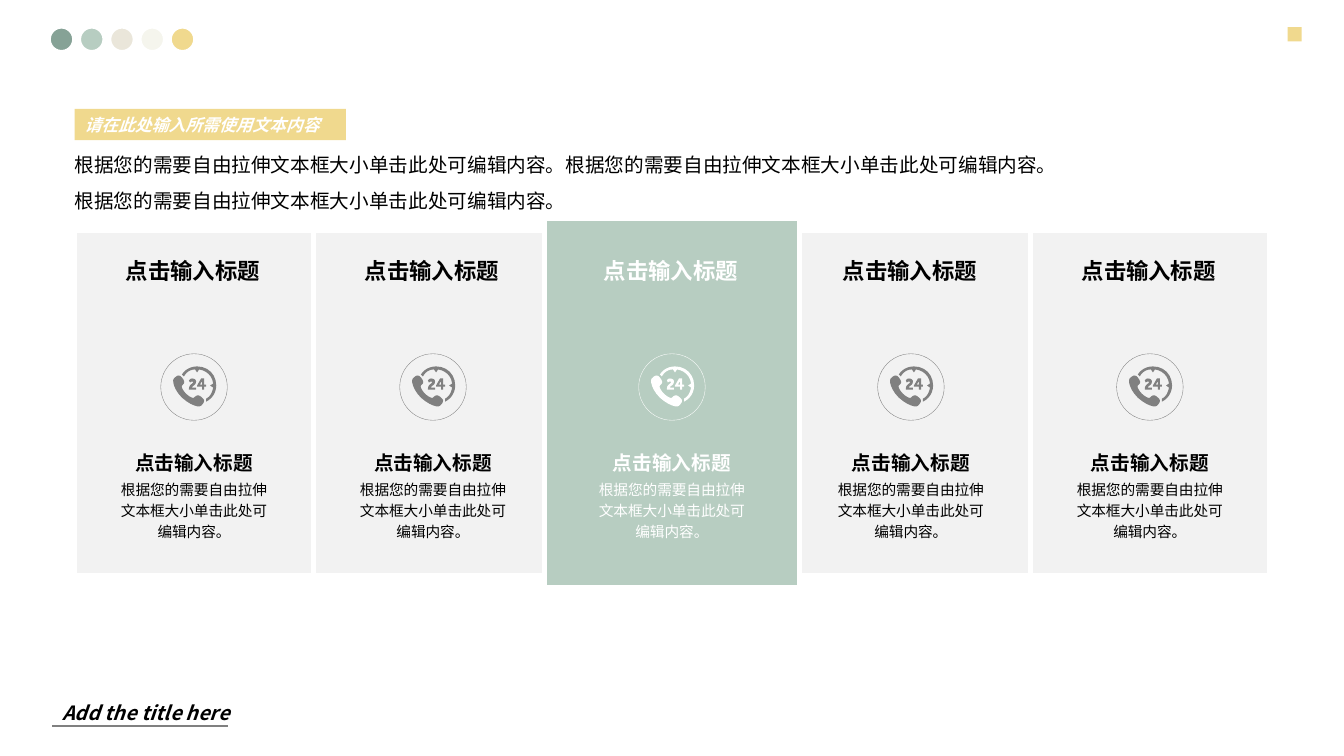
"""Build a slide of five service cards with the middle card highlighted."""
import pptx
import pptx.dml.color
import pptx.enum.shapes
import pptx.enum.text
import pptx.oxml.ns
import pptx.util

SHAPE = pptx.enum.shapes.MSO_SHAPE
ALIGN = pptx.enum.text.PP_ALIGN
FONT = "Noto Sans CJK SC"
COLORS = {
    "green": "86A296", "mint": "B7CDC1", "sand": "EAE6DA", "ivory": "F5F5ED",
    "yellow": "F0D98E", "panel": "F2F2F2", "gray": "808080",
    "white": "FFFFFF", "black": "000000",
}

DOTS = ["green", "mint", "sand", "ivory", "yellow"]
FOOTER = "Add the title here"
TAG = "请在此处输入所需使用文本内容"
SENTENCE = "根据您的需要自由拉伸文本框大小单击此处可编辑内容。"
INTRO = [SENTENCE * 2, SENTENCE]
HEADING = "点击输入标题"
CARDS = [(HEADING, HEADING, SENTENCE)] * 5
HIGHLIGHT = 2

# Contours in hundredths of an inch: pairs are lines, sixes are curves.
ICON_SIZE = (0.44, 0.41)
PHONE_ICON = [
    [(25, 0), (19, 0, 13, 3, 10, 8), (10, 8, 11, 9, 12, 10), (14, 6, 18, 3, 23, 3),
     (25, 6), (27, 3), (34, 4, 40, 9, 41, 17), (38, 19), (41, 21),
     (40, 26, 38, 30, 34, 32), (34, 35), (40, 32, 44, 26, 44, 19), (44, 8, 36, 0, 25, 0)],
    [(30, 31), (26, 27, 24, 29, 22, 31), (21, 32, 17, 30, 14, 27), (11, 24, 9, 20, 10, 19),
     (12, 17, 14, 16, 10, 11), (7, 7, 4, 10, 2, 12), (0, 14, 2, 23, 10, 31),
     (19, 39, 27, 41, 29, 39), (31, 37, 34, 34, 30, 31)],
    [(17, 22), (17, 18, 21, 17, 21, 16), (21, 15, 21, 15, 20, 15), (19, 15, 18, 16, 18, 16),
     (17, 14), (17, 14, 18, 12, 20, 12), (22, 12, 24, 13, 24, 15), (24, 19, 20, 19, 20, 21),
     (24, 21), (24, 23), (17, 23)],
    [(25, 19), (29, 12), (32, 12), (32, 18), (34, 18), (34, 20), (32, 20), (32, 23),
     (30, 23), (30, 20), (25, 20)],
    [(30, 18), (30, 15), (29, 16), (28, 18)],
]

LEFT, PITCH = 0.74, 2.37
CARD_TOP, CARD_H = 2.29, 3.42
GROW_X, GROW_Y = 0.08, 0.12
RING, RING_TOP = 0.66, 3.51


def rgb(name):
    return pptx.dml.color.RGBColor.from_string(COLORS[name])


def box(*lengths):
    return [pptx.util.Inches(v) for v in lengths]


def paint(sp, fill=None, line=None, width=0):
    sp.shadow.inherit = False
    if fill:
        sp.fill.solid()
        sp.fill.fore_color.rgb = rgb(fill)
    else:
        sp.fill.background()
    if line:
        sp.line.color.rgb = rgb(line)
        sp.line.width = pptx.util.Pt(width)
    else:
        sp.line.fill.background()
    return sp


def add_shape(s, kind, place, **style):
    return paint(s.shapes.add_shape(kind, *box(*place)), **style)


def write(sp, lines, color, align=ALIGN.LEFT, wrap=True, inset=True, italic=False):
    """Fill a shape with lines of (text, size, leading, bold, space before)."""
    tf = sp.text_frame
    tf.word_wrap = wrap
    tf.vertical_anchor = pptx.enum.text.MSO_ANCHOR.TOP
    if not inset:
        tf.margin_left = tf.margin_right = tf.margin_top = tf.margin_bottom = 0
    for i, (text, size, leading, bold, before) in enumerate(lines):
        p = tf.add_paragraph() if i else tf.paragraphs[0]
        p.text = text
        p.alignment = align
        p.line_spacing = pptx.util.Pt(leading)
        p.space_before = pptx.util.Pt(before)
        font = p.runs[0].font
        font.name, font.size = FONT, pptx.util.Pt(size)
        font.bold, font.italic = bold, italic
        font.color.rgb = rgb(color)
        ea = font._element.makeelement(pptx.oxml.ns.qn("a:ea"), {"typeface": FONT})
        font._element.find(pptx.oxml.ns.qn("a:latin")).addnext(ea)


def add_text(s, place, lines, color, **style):
    write(s.shapes.add_textbox(*box(*place)), lines, color, **style)


def flatten(contour, steps=6):
    points = [contour[0]]
    for seg in contour[1:]:
        if len(seg) == 2:
            points.append(seg)
            continue
        start, ctrl1, ctrl2, end = points[-1], seg[:2], seg[2:4], seg[4:]
        for k in range(1, steps + 1):
            t = k / steps
            u = 1 - t
            points.append(tuple(
                u**3 * a + 3 * u * u * t * b + 3 * u * t * t * c + t**3 * d
                for a, b, c, d in zip(start, ctrl1, ctrl2, end)))
    return [box(x / 100, y / 100) for x, y in points]


def add_icon(s, x, y, color):
    contours = [flatten(c) for c in PHONE_ICON]
    fb = s.shapes.build_freeform(*contours[0][0])
    for i, points in enumerate(contours):
        if i:
            fb.move_to(*points[0])
        fb.add_line_segments(points[1:], close=True)
    paint(fb.convert_to_shape(*box(x, y)), fill=color)


def add_frame(s):
    for i, color in enumerate(DOTS):
        add_shape(s, SHAPE.OVAL, (0.49 + 0.3 * i, 0.27, 0.24, 0.24),
                  fill=color, line="white", width=2)
    add_shape(s, SHAPE.RECTANGLE, (12.77, 0.27, 0.14, 0.14), fill="yellow")
    rule = s.shapes.add_connector(
        pptx.enum.shapes.MSO_CONNECTOR.STRAIGHT, *box(0.52, 7.2, 2.26, 7.2))
    rule.line.color.rgb = rgb("gray")
    rule.line.width = pptx.util.Pt(1.5)
    sppr = rule._element.spPr
    sppr.append(sppr.makeelement(pptx.oxml.ns.qn("a:effectLst"), {}))
    add_text(s, (0.52, 6.89, 2.39, 0.34), [(FOOTER, 14, 18, True, 0)], "black", italic=True)


def add_card(s, i):
    title, subtitle, body = CARDS[i]
    on = i == HIGHLIGHT
    gx, gy = (GROW_X, GROW_Y) if on else (0, 0)
    ink, icon = ("white", "white") if on else ("black", "gray")
    x = LEFT + PITCH * i
    mid = x + PITCH / 2
    add_shape(s, SHAPE.RECTANGLE,
              (x - gx, CARD_TOP - gy, PITCH + 2 * gx, CARD_H + 2 * gy),
              fill="mint" if on else "panel", line="white", width=3)
    add_text(s, (mid - 1.55 / 2, 2.48, 1.55, 0.37), [(title, 16, 20.5, True, 0)],
             ink, wrap=False)
    add_shape(s, SHAPE.OVAL, (mid - RING / 2, RING_TOP, RING, RING), line=icon, width=0.25)
    add_icon(s, mid - ICON_SIZE[0] / 2, RING_TOP + (RING - ICON_SIZE[1]) / 2, icon)
    add_text(s, (mid - 1.54 / 2, 4.42, 1.54, 0.94),
             [(subtitle, 14, 21, True, 0), (body, 10.5, 15, False, 1.5)],
             ink, align=ALIGN.CENTER, inset=False)


def main():
    prs = pptx.Presentation()
    prs.slide_width, prs.slide_height = box(13.33, 7.5)
    s = prs.slides.add_slide(prs.slide_layouts[6])
    add_frame(s)
    for i in sorted(range(len(CARDS)), key=lambda n: n == HIGHLIGHT):
        add_card(s, i)
    tag = add_shape(s, SHAPE.RECTANGLE, (LEFT, 1.08, 2.69, 0.31), fill="yellow")
    write(tag, [(TAG, 12, 15.2, True, 0)], "white", italic=True)
    add_text(s, (LEFT, 1.39, 10.17, 0.67), [(t, 14, 25.7, False, 0) for t in INTRO],
             "black", align=ALIGN.JUSTIFY, inset=False)
    prs.save("out.pptx")


if __name__ == "__main__":
    main()
